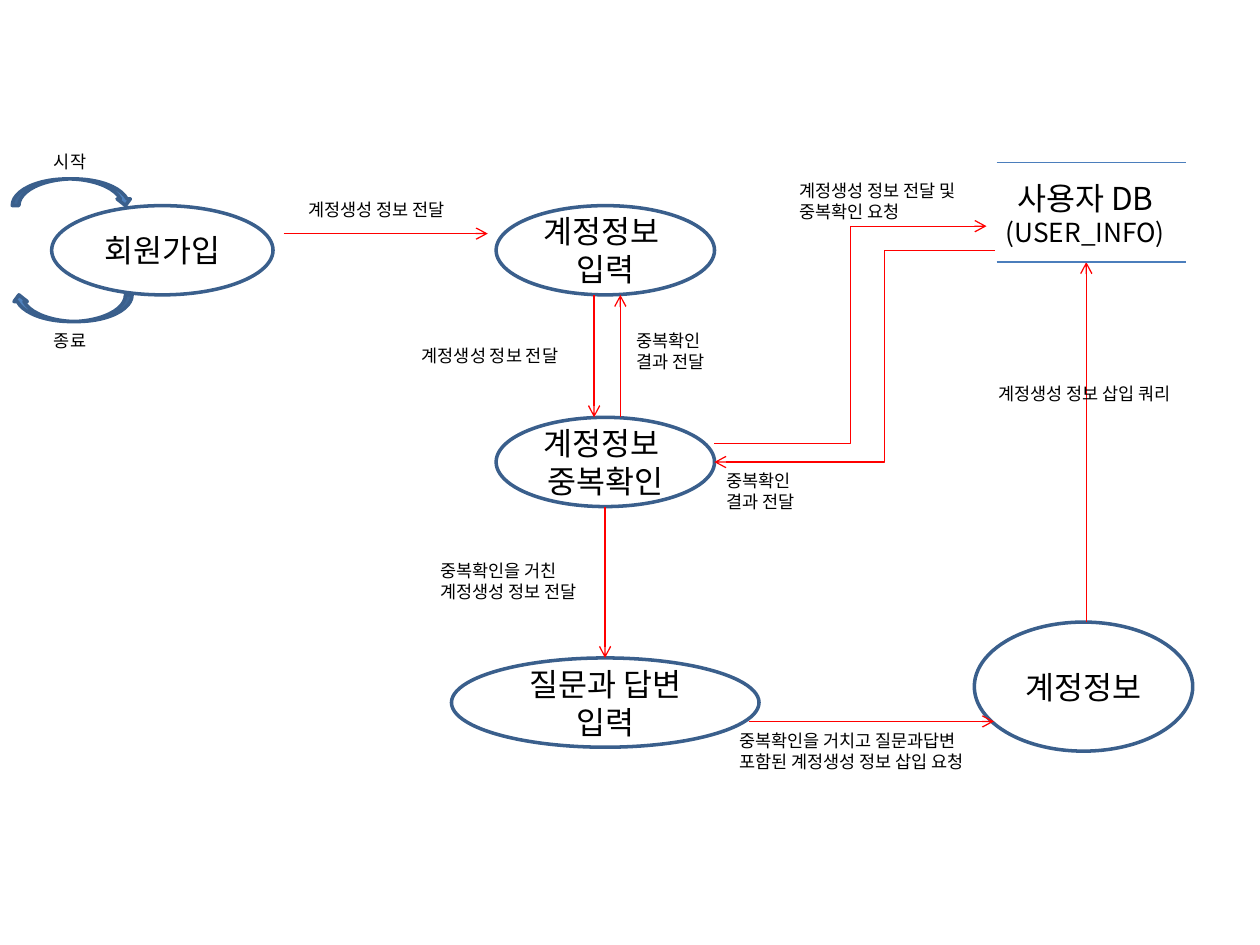
from dataclasses import dataclass
from typing import NamedTuple

from pptx import Presentation
from pptx.dml.color import RGBColor
from pptx.enum.shapes import MSO_CONNECTOR as Link, MSO_SHAPE as Geo
from pptx.enum.text import MSO_ANCHOR as Anchor, MSO_AUTO_SIZE as Fit, PP_ALIGN as Align
from pptx.oxml.ns import qn
from pptx.util import Pt
from lxml.etree import SubElement


@dataclass(frozen=True)
class Theme:
    font: str = "Noto Sans CJK KR"
    ink: RGBColor = RGBColor(0x00, 0x00, 0x00)
    outline: RGBColor = RGBColor(0x3A, 0x5F, 0x8C)
    loop: RGBColor = RGBColor(0x4F, 0x81, 0xBD)
    store: RGBColor = RGBColor(0x4B, 0x7E, 0xBC)
    flow: RGBColor = RGBColor(0xFF, 0x00, 0x00)
    title: float = 18
    subtitle: float = 15
    label: float = 10
    thick: float = 2
    thin: float = 0.75


class Box(NamedTuple):
    left: float
    top: float
    width: float
    height: float

    def points(self) -> list:
        return [Pt(v) for v in self]


class Process(NamedTuple):
    box: Box
    lines: tuple


class Label(NamedTuple):
    left: float
    top: float
    width: float
    lines: tuple


class Flow(NamedTuple):
    start: tuple
    end: tuple
    kind: Link = Link.STRAIGHT
    bend: float = 0.5


THEME = Theme()
LABEL_PAD, LABEL_LINE = 7.2, 12.2

PROCESSES = (
    Process(Box(283.5, 117.5, 124.8, 51), ("계정정보 ", "입력")),
    Process(Box(29.5, 117.5, 126.5, 51), ("회원가입",)),
    Process(Box(283.5, 238.5, 124.8, 51), ("계정정보 ", "중복확인")),
    Process(Box(258, 376, 175.75, 51), ("질문과 답변 입력",)),
    Process(Box(556.75, 355.5, 124.8, 73.75), ("계정정보",)),
)

# Start loop above the sign-up process, end loop below it.
LOOPS = ((Box(7, 102.25, 68.5, 15.25), 0), (Box(7, 168.5, 68.5, 15.25), 180))

FLOWS = (
    Flow((162, 133.5), (278.75, 133.5)),
    Flow((427.75, 412.25), (568, 412.25)),
    Flow((339.5, 168.5), (339.5, 238.5)),
    Flow((345.75, 289.5), (345.75, 376)),
    Flow((408.25, 253.5), (563.75, 129.25), Link.ELBOW),
    Flow((568.75, 143), (408.25, 264), Link.ELBOW, 0.395),
    Flow((620.75, 355.5), (620.75, 149.75)),
    Flow((354.5, 238.5), (354.5, 168.5)),
)

LABELS = (
    Label(169, 110, 102.25, ("계정생성 정보 전달",)),
    Label(23.75, 82.5, 34.5, ("시작",)),
    Label(23.75, 185, 34.5, ("종료",)),
    Label(234, 193.5, 102.25, ("계정생성 정보 전달",)),
    Label(450, 99.25, 119.5, ("계정생성 정보 전달 및", "중복확인 요청")),
    Label(408, 265, 58.25, ("중복확인", "결과 전달")),
    Label(356.5, 185, 58.25, ("중복확인", "결과 전달")),
    Label(244.5, 316.5, 102.25, ("중복확인을 거친", "계정생성 정보 전달")),
    Label(415.25, 413.5, 160, ("중복확인을 거치고 질문과답변", "포함된 계정생성 정보 삽입 요청")),
    Label(563.5, 215.5, 126, ("계정생성 정보 삽입 쿼리",)),
)

STORE_BOX = Box(563.75, 98.5, 113, 47.5)
STORE_LEFT, STORE_RIGHT, STORE_EDGES = 569.5, 677.5, (93, 149.75)


def write(tf, lines: tuple, *, sizes: tuple, align=Align.LEFT,
          anchor=Anchor.TOP, wrap: bool = True) -> None:
    """Write one paragraph a line; the last size serves all further lines."""
    tf.word_wrap = wrap
    tf.vertical_anchor = anchor
    for i, line in enumerate(lines):
        p = tf.paragraphs[0] if i == 0 else tf.add_paragraph()
        p.alignment = align
        r = p.add_run()
        r.text = line
        r.font.size = Pt(sizes[min(i, len(sizes) - 1)])
        r.font.color.rgb = THEME.ink
        r.font.name = THEME.font
        SubElement(r.font._element, qn("a:ea"), typeface=THEME.font)


def add_outlined(shapes, geo: Geo, box: Box):
    sp = shapes.add_shape(geo, *box.points())
    sp.shadow.inherit = False
    sp.fill.background()
    sp.line.color.rgb = THEME.outline
    sp.line.width = Pt(THEME.thick)
    return sp


def add_process(shapes, process: Process) -> None:
    sp = add_outlined(shapes, Geo.OVAL, process.box)
    write(sp.text_frame, process.lines, sizes=(THEME.title,),
          align=Align.CENTER, anchor=Anchor.MIDDLE)


def add_loop(shapes, box: Box, angle: float) -> None:
    sp = add_outlined(shapes, Geo.CURVED_DOWN_ARROW, box)
    sp.fill.solid()
    sp.fill.fore_color.rgb = THEME.loop
    sp.rotation = angle


def add_line(shapes, start: tuple, end: tuple, color: RGBColor, kind=Link.STRAIGHT):
    cxn = shapes.add_connector(kind, *(Pt(v) for v in (*start, *end)))
    cxn.line.color.rgb = color
    cxn.line.width = Pt(THEME.thin)
    SubElement(cxn._element.spPr, qn("a:effectLst"))
    return cxn


def add_flow(shapes, flow: Flow) -> None:
    cxn = add_line(shapes, flow.start, flow.end, THEME.flow, flow.kind)
    SubElement(cxn.line._get_or_add_ln(), qn("a:tailEnd"), type="arrow")
    if flow.kind == Link.ELBOW:
        adjustments = cxn._element.spPr.find(qn("a:prstGeom")).find(qn("a:avLst"))
        SubElement(adjustments, qn("a:gd"), name="adj1",
                   fmla=f"val {round(flow.bend * 100000)}")


def add_label(shapes, label: Label) -> None:
    height = LABEL_PAD + LABEL_LINE * len(label.lines)
    box = Box(label.left, label.top, label.width, height)
    tf = shapes.add_textbox(*box.points()).text_frame
    write(tf, label.lines, sizes=(THEME.label,), wrap=False)
    tf.auto_size = Fit.SHAPE_TO_FIT_TEXT


def add_store(shapes) -> None:
    """Draw the user database as a name between two rules."""
    group = shapes.add_group_shape().shapes
    for y in STORE_EDGES:
        add_line(group, (STORE_LEFT, y), (STORE_RIGHT, y), THEME.store)
    tf = group.add_textbox(*STORE_BOX.points()).text_frame
    write(tf, ("사용자 DB", "(USER_INFO)"),
          sizes=(THEME.title, THEME.subtitle), align=Align.CENTER)
    tf.auto_size = Fit.SHAPE_TO_FIT_TEXT


def main() -> None:
    prs = Presentation()
    prs.slide_width, prs.slide_height = Pt(720), Pt(540)
    s = prs.slides.add_slide(prs.slide_layouts[6])
    for process in PROCESSES:
        add_process(s.shapes, process)
    for box, angle in LOOPS:
        add_loop(s.shapes, box, angle)
    for flow in FLOWS:
        add_flow(s.shapes, flow)
    for label in LABELS:
        add_label(s.shapes, label)
    add_store(s.shapes)
    prs.save("out.pptx")


if __name__ == "__main__":
    main()
